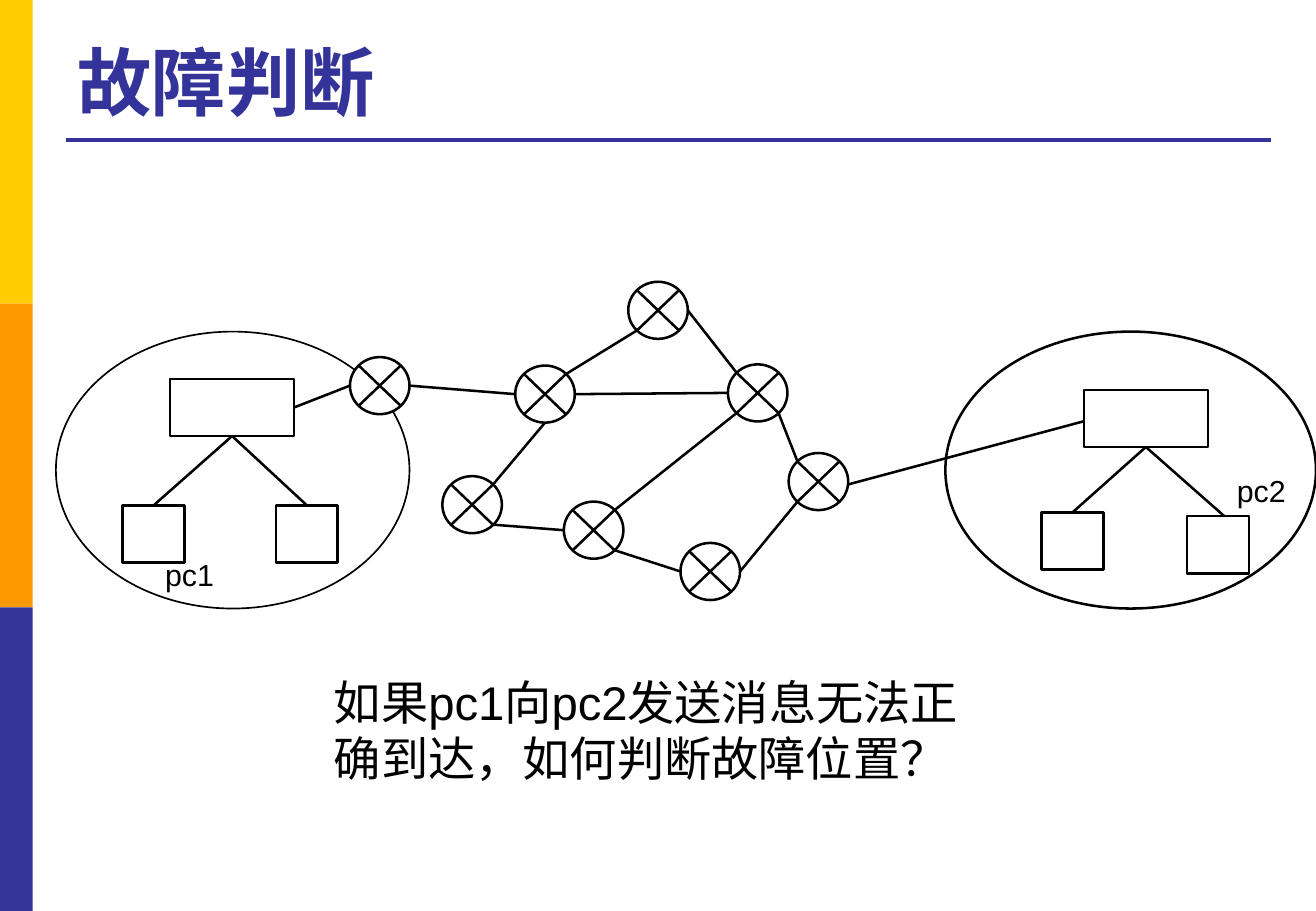
from lxml.etree import SubElement
from pptx import Presentation
from pptx.dml.color import RGBColor
from pptx.enum.shapes import MSO_CONNECTOR, MSO_SHAPE
from pptx.enum.text import MSO_ANCHOR
from pptx.oxml.ns import qn
from pptx.util import Inches, Pt

# Content: positions in inches
SLIDE_SIZE = (10.83, 7.5)
THEME = {
    "font": "Arial", "ink": "000000", "paper": "FFFFFF", "accent": "333399",
    "bands": ("FFCC00", "FF9900", "333399"),
    "title": 44, "question": 28, "label": 18,
    "rule": 2.25, "thin": 1, "line": 1.5,
}
BAND_WIDTH = 0.27
TITLE_RULE = ((0.54, 1.15), (10.46, 1.15))
NETWORKS = [((0.46, 2.73, 2.91, 2.28), "thin"), ((7.78, 2.73, 3.05, 2.28), "line")]

SWITCH_SIZE, PC_SIZE, ROUTER_SIZE = (1.02, 0.47), (0.51, 0.47), (0.49, 0.47)
SWITCHES = {"switch1": (1.4, 3.12), "switch2": (8.92, 3.21)}
PCS = {"pc1": (1.01, 4.16), "pc1 peer": (2.27, 4.16),
       "pc2 peer": (8.57, 4.22), "pc2": (9.77, 4.25)}
ROUTERS = {
    "gateway": (2.88, 2.94), "west": (4.24, 3.01), "north": (5.17, 2.32),
    "east": (5.99, 3.0), "exit": (6.49, 3.73), "south": (5.6, 4.47),
    "centre": (4.64, 4.13), "southwest": (3.64, 3.92),
}

# Points on a node's frame, as fractions of its width and height
ANCHORS = {
    "top": (0.5, 0), "bottom": (0.5, 1), "left": (0, 0.5), "right": (1, 0.5),
    "top left": (0.15, 0.15), "top right": (0.85, 0.15),
    "bottom left": (0.15, 0.85), "bottom right": (0.85, 0.85),
    "lower left": (0, 0.55), "lower right": (1, 0.55), "top off-centre": (0.6, 0),
}
LINKS = [
    ("pc1", "top", "switch1", "bottom"),
    ("switch1", "bottom", "pc1 peer", "top"),
    ("switch1", "right", "gateway", "left"),
    ("gateway", "right", "west", "left"),
    ("southwest", "top right", "west", "bottom"),
    ("west", "top right", "north", "bottom left"),
    ("southwest", "bottom right", "centre", "left"),
    ("west", "right", "east", "left"),
    ("north", "right", "east", "top left"),
    ("east", "bottom right", "exit", "top left"),
    ("centre", "top right", "east", "bottom left"),
    ("centre", "bottom right", "south", "left"),
    ("south", "right", "exit", "bottom left"),
    ("exit", "lower right", "switch2", "lower left"),
    ("pc2 peer", "top", "switch2", "bottom"),
    ("switch2", "bottom", "pc2", "top off-centre"),
]
TEXTS = [
    ("故障判断", (0.54, 0.21, 9.91, 0.87), "title",
     {"bold": True}, "accent", MSO_ANCHOR.BOTTOM),
    ("如果pc1向pc2发送消息无法正确到达，如何判断故障位置？", (2.65, 5.49, 5.53, 1.04),
     "question", {}, "ink", MSO_ANCHOR.TOP),
    ("pc1", (1.26, 4.53, 0.67, 0.4), "label", {}, "ink", MSO_ANCHOR.TOP),
    ("pc2", (10.08, 3.84, 0.67, 0.4), "label", {}, "ink", MSO_ANCHOR.TOP),
]


def color(value):
    return RGBColor.from_string(value)


def add_node(slide, kind, frame, fill=THEME["paper"], width=None):
    shape = slide.shapes.add_shape(kind, *map(Inches, frame))
    shape.shadow.inherit = False
    shape.fill.solid()
    shape.fill.fore_color.rgb = color(fill)
    if width is None:
        shape.line.fill.background()
    else:
        shape.line.color.rgb = color(THEME["ink"])
        shape.line.width = Pt(width)


def add_line(slide, start, end, ink=THEME["ink"], width=THEME["line"]):
    connector = slide.shapes.add_connector(
        MSO_CONNECTOR.STRAIGHT, *map(Inches, (*start, *end)))
    connector.line.color.rgb = color(ink)
    connector.line.width = Pt(width)
    SubElement(connector._element.spPr, qn("a:effectLst"))


def anchor_point(frame, anchor):
    left, top, width, height = frame
    across, down = ANCHORS[anchor]
    return left + across * width, top + down * height


def add_text(slide, text, frame, size, formats, ink, anchor):
    box = slide.shapes.add_textbox(*map(Inches, frame))
    text_frame = box.text_frame
    text_frame.word_wrap = True
    text_frame.vertical_anchor = anchor
    paragraph = text_frame.paragraphs[0]
    run = paragraph.add_run()
    run.text = text
    values = {"name": THEME["font"], "size": Pt(THEME[size]), **formats}
    for name, value in values.items():
        setattr(run.font, name, value)
    run.font.color.rgb = color(THEME[ink])


def main():
    presentation = Presentation()
    presentation.slide_width, presentation.slide_height = map(Inches, SLIDE_SIZE)
    slide = presentation.slides.add_slide(presentation.slide_layouts[6])

    # Side bands and title rule
    band_height = SLIDE_SIZE[1] / len(THEME["bands"])
    for index, fill in enumerate(THEME["bands"]):
        frame = (0, index * band_height, BAND_WIDTH, band_height)
        add_node(slide, MSO_SHAPE.RECTANGLE, frame, fill)
    add_line(slide, *TITLE_RULE, THEME["accent"], THEME["rule"])

    # Local networks
    for frame, weight in NETWORKS:
        add_node(slide, MSO_SHAPE.OVAL, frame, width=THEME[weight])

    # Switches, computers and routers
    frames = {}
    for group, size, kind in (
        (SWITCHES, SWITCH_SIZE, MSO_SHAPE.RECTANGLE),
        (PCS, PC_SIZE, MSO_SHAPE.RECTANGLE),
        (ROUTERS, ROUTER_SIZE, MSO_SHAPE.FLOWCHART_CONNECTOR),
    ):
        for name, position in group.items():
            frames[name] = (*position, *size)
            add_node(slide, kind, frames[name], width=THEME["line"])

    # Router crosses and links
    crosses = [(name, start, name, end) for name in ROUTERS for start, end in (
        ("top left", "bottom right"), ("bottom left", "top right"))]
    for source, source_anchor, target, target_anchor in crosses + LINKS:
        add_line(slide, anchor_point(frames[source], source_anchor),
                 anchor_point(frames[target], target_anchor))

    # Title, question and labels
    for item in TEXTS:
        add_text(slide, *item)

    presentation.save("out.pptx")


if __name__ == "__main__":
    main()
